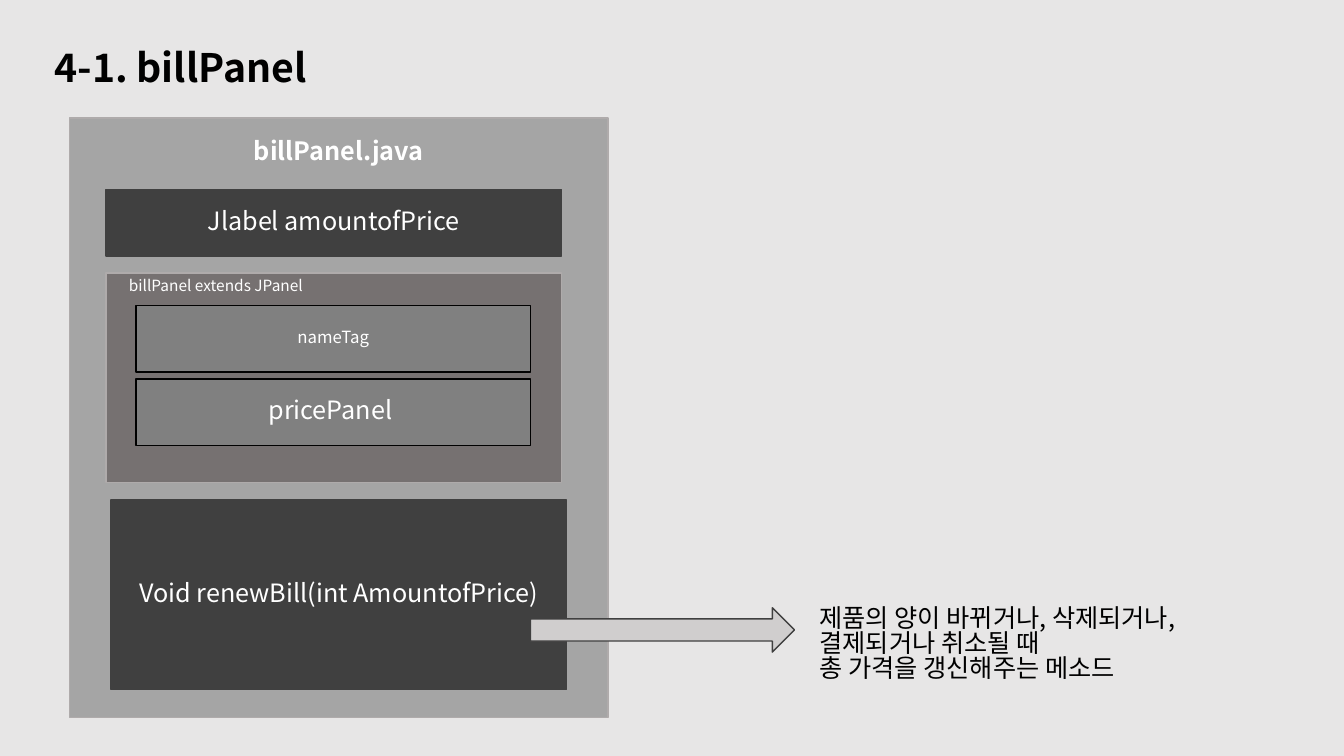
from dataclasses import dataclass
from typing import Optional

from lxml.etree import SubElement
from pptx import Presentation
from pptx.dml.color import RGBColor
from pptx.enum.shapes import MSO_SHAPE
from pptx.enum.text import MSO_ANCHOR, PP_ALIGN
from pptx.oxml.ns import qn
from pptx.util import Inches, Pt


@dataclass(frozen=True)
class Theme:
    font: str = "Noto Sans CJK KR"
    background: str = "E7E6E6"
    ink: str = "000000"
    light: str = "FFFFFF"
    panel: str = "A5A5A5"
    panel_edge: str = "AFABAB"
    inner: str = "767171"
    field: str = "808080"
    dark: str = "404040"
    arrow: str = "D0CECE"
    title: int = 28
    body: int = 18
    tag: int = 12
    caption: int = 11
    spacing: float = 0.82


THEME = Theme()


@dataclass(frozen=True)
class Box:
    left: float
    top: float
    width: float
    height: float
    fill: str
    line: str
    text: str = ""
    size: int = THEME.body
    bold: bool = False
    top_inset: Optional[float] = None
    kind: MSO_SHAPE = MSO_SHAPE.RECTANGLE


@dataclass(frozen=True)
class Label:
    left: float
    top: float
    width: float
    height: float
    lines: tuple[str, ...]
    size: int
    color: str
    wrap: bool = True


FIELD_TOP, FIELD_HEIGHT, FIELD_STEP = 3.03, 0.66, 0.73
FIELDS = (("nameTag", THEME.tag), ("pricePanel ", THEME.body))

PANELS = (
    Box(0.69, 1.17, 5.34, 5.95, THEME.panel, THEME.panel_edge,
        "billPanel.java", bold=True, top_inset=0.23),
    Box(1.05, 2.71, 4.52, 2.08, THEME.inner, THEME.panel_edge),
    *(Box(1.35, FIELD_TOP + i * FIELD_STEP, 3.91, FIELD_HEIGHT,
          THEME.field, THEME.ink, text, size)
      for i, (text, size) in enumerate(FIELDS)),
    Box(1.05, 1.88, 4.52, 0.66, THEME.dark, THEME.dark, "Jlabel amountofPrice"),
    Box(1.1, 4.96, 4.52, 1.88, THEME.dark, THEME.dark,
        "Void renewBill(int AmountofPrice)"),
    Box(5.26, 6.03, 2.62, 0.44, THEME.arrow, THEME.dark,
        kind=MSO_SHAPE.RIGHT_ARROW),
)

LABELS = (
    Label(1.18, 2.72, 3.48, 0.29, ("billPanel extends JPanel",),
          THEME.caption, THEME.light),
    Label(8.03, 5.98, 4.21, 1.01,
          ("제품의 양이 바뀌거나, 삭제되거나,", "결제되거나 취소될 때",
           "총 가격을 갱신해주는 메소드"),
          THEME.body, THEME.ink, wrap=False),
)


def add_text(p, text: str, size: int, color: str, bold: bool = False,
             align: PP_ALIGN = PP_ALIGN.LEFT) -> None:
    p.alignment = align
    p.line_spacing = THEME.spacing
    r = p.add_run()
    r.text = text
    r.font.name = THEME.font
    r.font.size = Pt(size)
    r.font.bold = bold
    r.font.color.rgb = RGBColor.from_string(color)
    SubElement(r.font._element, qn("a:ea"), typeface=THEME.font)


def add_box(slide, box: Box) -> None:
    sp = slide.shapes.add_shape(box.kind, Inches(box.left), Inches(box.top),
                                Inches(box.width), Inches(box.height))
    sp.shadow.inherit = False
    sp.fill.solid()
    sp.fill.fore_color.rgb = RGBColor.from_string(box.fill)
    sp.line.color.rgb = RGBColor.from_string(box.line)
    sp.line.width = Pt(1)
    if not box.text:
        return
    tf = sp.text_frame
    tf.word_wrap = True
    tf.vertical_anchor = MSO_ANCHOR.MIDDLE
    if box.top_inset is not None:
        tf.vertical_anchor = MSO_ANCHOR.TOP
        tf.margin_top = Inches(box.top_inset)
    add_text(tf.paragraphs[0], box.text, box.size, THEME.light, box.bold,
             PP_ALIGN.CENTER)


def add_label(slide, label: Label) -> None:
    sp = slide.shapes.add_textbox(Inches(label.left), Inches(label.top),
                                  Inches(label.width), Inches(label.height))
    tf = sp.text_frame
    tf.word_wrap = label.wrap
    for i, line in enumerate(label.lines):
        p = tf.add_paragraph() if i else tf.paragraphs[0]
        add_text(p, line, label.size, label.color)


def set_title(slide, text: str) -> None:
    sp = slide.shapes.title
    sp.left, sp.top = Inches(0.44), Inches(0.46)
    sp.width, sp.height = Inches(6.47), Inches(0.57)
    tf = sp.text_frame
    tf.word_wrap = True
    tf.vertical_anchor = MSO_ANCHOR.TOP
    add_text(tf.paragraphs[0], text, THEME.title, THEME.ink, bold=True)


def main() -> None:
    prs = Presentation()
    prs.slide_width, prs.slide_height = Inches(13.33), Inches(7.5)
    slide = prs.slides.add_slide(prs.slide_layouts[5])
    slide.background.fill.solid()
    slide.background.fill.fore_color.rgb = RGBColor.from_string(THEME.background)
    set_title(slide, "4-1. billPanel")
    for box in PANELS:
        add_box(slide, box)
    for label in LABELS:
        add_label(slide, label)
    prs.save("out.pptx")


if __name__ == "__main__":
    main()
